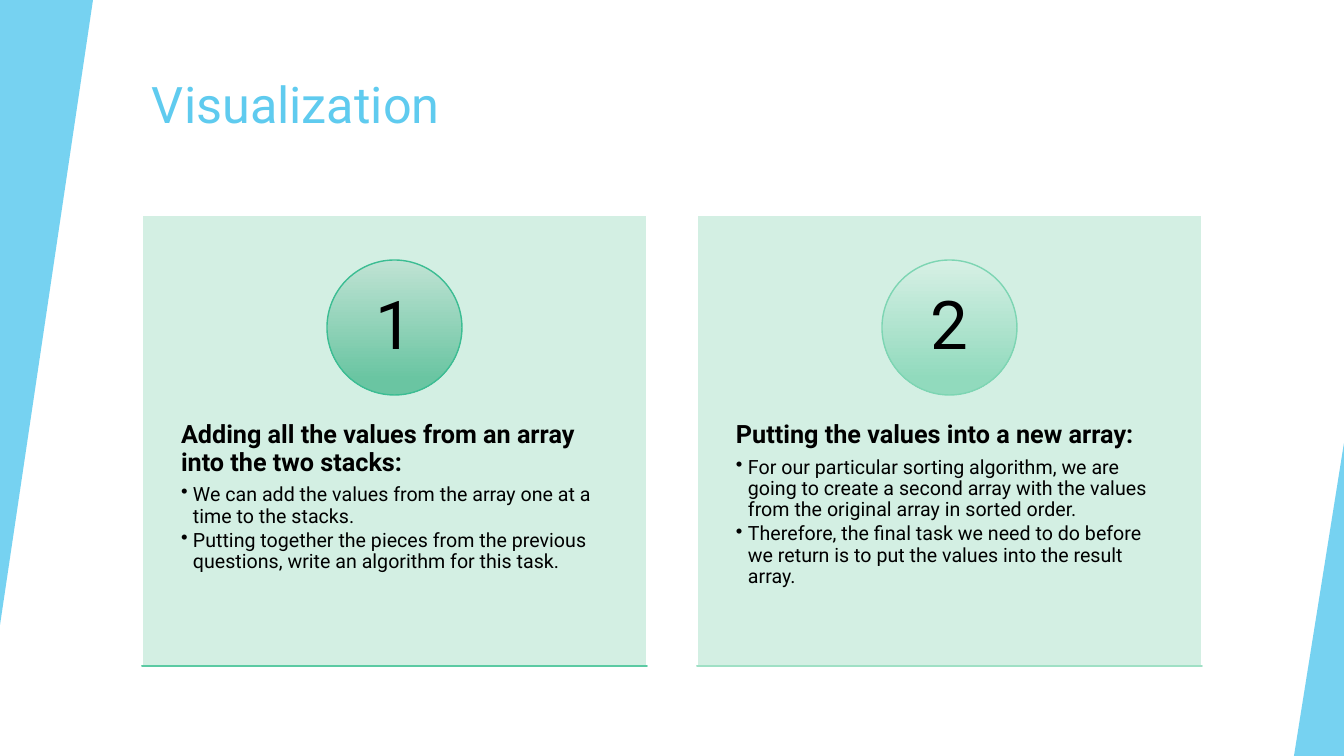
from lxml import etree
from pptx import Presentation, util as u
from pptx.dml import color
from pptx.enum import shapes, text
from pptx.oxml import ns

KIND = shapes.MSO_SHAPE
MID = text.PP_ALIGN.CENTER
FONT = "Roboto"
BLUE, MINT = "5FCBEF", "CFEEE0"


def px(n):
    """Turn picture pixels into EMU."""
    return u.Emu(round(n * 914400 / 100.8))


def rgb(code):
    """Turn a hex string into a colour."""
    return color.RGBColor.from_string(code)


def put(item, vals):
    """Set every attribute that the dict names."""
    for key, val in vals.items():
        setattr(item, key, val)


class Page:
    """Hold the style and the current slide."""

    def __init__(self, deck):
        """Add a title-only slide."""
        self.slide = deck.slides.add_slide(deck.slide_layouts[5])

    def font(self, run, size, tint="000000", bold=False):
        """Format a run."""
        put(run.font, {"name": FONT, "size": u.Pt(size), "bold": bold})
        run.font.color.rgb = rgb(tint)

    def frame(self, box, pad, anchor):
        """Set wrapping, insets and anchor of a text frame."""
        side, top = map(px, pad)
        put(box.text_frame, {
            "word_wrap": True, "auto_size": text.MSO_AUTO_SIZE.NONE,
            "vertical_anchor": anchor, "margin_left": side,
            "margin_right": side, "margin_top": top, "margin_bottom": top})
        return box.text_frame

    def title(self, words, spot):
        """Place and format the title."""
        box = self.slide.shapes.title
        put(box, dict(zip(("left", "top", "width", "height"), map(px, spot))))
        para = self.frame(box, (10, 5), text.MSO_ANCHOR.TOP).paragraphs[0]
        para.alignment = text.PP_ALIGN.LEFT
        run = para.add_run()
        run.text = words
        self.font(run, 36, BLUE)

    def shape(self, kind, spot, fill, line=None, alpha=100):
        """Draw a preset with a solid fill or a pair of gradient colours."""
        item = self.slide.shapes.add_shape(kind, *map(px, spot))
        item.shadow.inherit = False
        if isinstance(fill, str):
            item.fill.solid()
            item.fill.fore_color.rgb = rgb(fill)
            tint = item._element.spPr.find(".//" + ns.qn("a:srgbClr"))
            etree.SubElement(tint, ns.qn("a:alpha"), val=str(alpha * 1000))
        else:
            item.fill.gradient()
            item.fill.gradient_angle = 270
            for stop, place, code in zip(item.fill.gradient_stops, (0, 0.88), fill):
                stop.color.rgb = rgb(code)
                stop.position = place
        if line:
            item.line.color.rgb = rgb(line)
            item.line.width = u.Pt(1)
        else:
            item.line.fill.background()
        return item

    def wedge(self, spot, turn=0):
        """Draw a right-angled triangle at the slide edge."""
        item = self.shape(KIND.ISOSCELES_TRIANGLE, spot, BLUE, alpha=85)
        item.adjustments[0] = 1
        item.rotation = turn

    def label(self, spot, pad, anchor, paras):
        """Add a text box from (words, size, bold, bullet, format) rows."""
        box = self.slide.shapes.add_textbox(*map(px, spot))
        frame = self.frame(box, pad, anchor)
        for num, (words, size, bold, dot, form) in enumerate(paras):
            para = frame.add_paragraph() if num else frame.paragraphs[0]
            put(para, {"line_spacing": 0.9, **form})
            run = para.add_run()
            run.text = words
            self.font(run, size, bold=bold)
            if dot:
                props = para._p.get_or_add_pPr()
                props.set("marL", str(px(12)))
                props.set("indent", str(-px(12)))
                etree.SubElement(props, ns.qn("a:buChar"), char="•")

    def card(self, left, num, head, items, disc, rim, bar, edge):
        """Draw one numbered step."""
        wide = 505
        self.shape(KIND.RECTANGLE, (left, 215, wide, 451), MINT, "FFFFFF", 90)
        rows = [(head, 18, True, False, {"space_after": u.Pt(6)})]
        rows += [(item, 14, False, True, {"space_after": u.Pt(2), "level": 1})
                 for item in items]
        self.label((left, 386, wide, 271), (39, 36), text.MSO_ANCHOR.TOP, rows)
        self.shape(KIND.OVAL, (left + 185, 260, 135, 135), disc, rim)
        self.label((left + 205, 280, 95, 95), (10, 1), text.MSO_ANCHOR.MIDDLE,
                   [(str(num), 48, False, False, {"alignment": MID})])
        self.shape(KIND.RECTANGLE, (left, 666, wide, 0), bar, edge)


STEPS = [
    ("Adding all the values from an array into the two stacks:",
     ["We can add the values from the array one at a time to the stacks.",
      "Putting together the pieces from the previous questions, write an "
      "algorithm for this task."],
     ("C0E3D4", "6AC5A2"), "3CBD93", ("CAEADC", "7AD0AF"), "5BCAA3"),
    ("Putting the values into a new array:",
     ["For our particular sorting algorithm, we are going to create a second "
      "array with the values from the original array in sorted order.",
      "Therefore, the final task we need to do before we return is to put the "
      "values into the result array."],
     ("D7F0E5", "91DABD"), "7DD5B3", ("E7F7F0", "ACE3CC"), "9FE0C5"),
]

deck = Presentation()
put(deck, {"slide_width": px(1344), "slide_height": px(756)})
page = Page(deck)
page.wedge((0, 0, 93, 625), 180)
page.wedge((1294, 443, 50, 313))
page.title("Visualization", (142, 68, 1124, 121))
for spot, step in enumerate(STEPS):
    page.card(142 + 555 * spot, spot + 1, *step)
deck.save("out.pptx")
